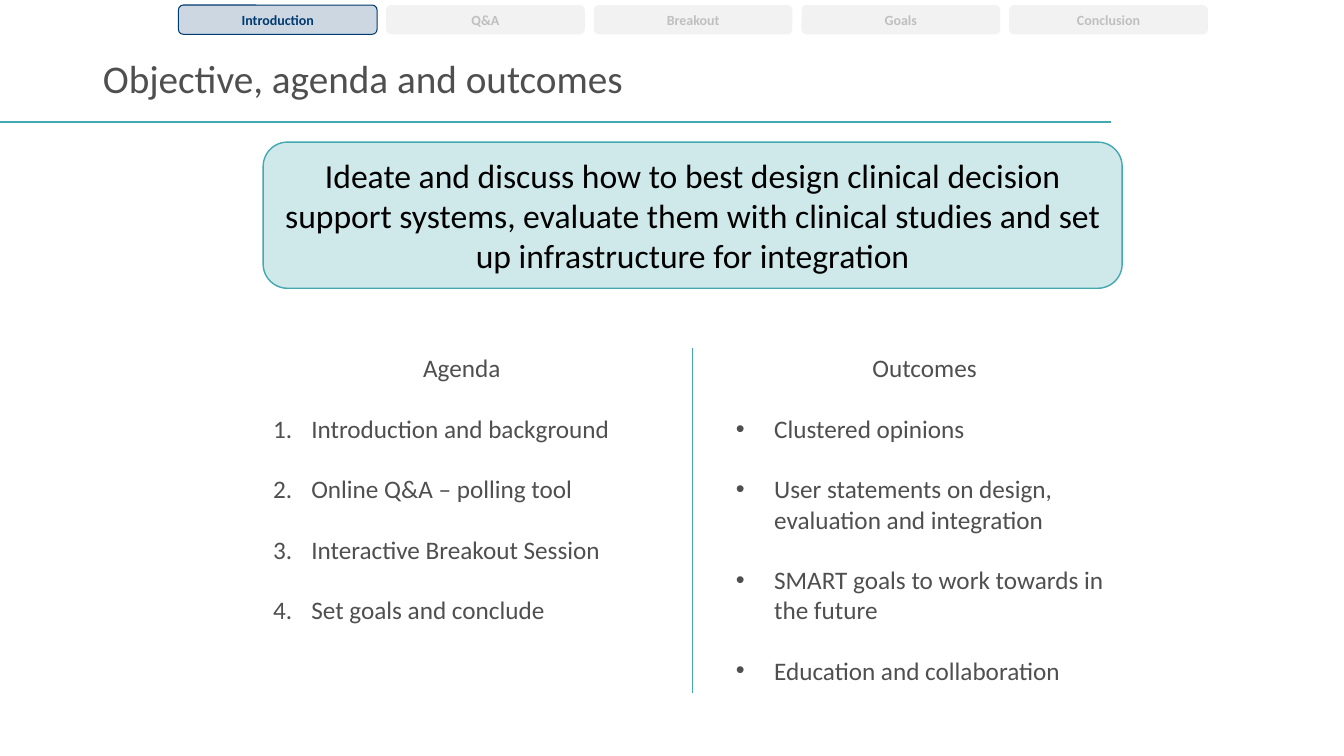
from dataclasses import dataclass

from lxml import etree
from pptx import Presentation
from pptx.dml.color import RGBColor
from pptx.enum import shapes, text
from pptx.oxml.ns import qn
from pptx.util import Inches, Pt

TITLE = "Objective, agenda and outcomes"
SECTIONS = ["Introduction", "Q&A", "Breakout", "Goals", "Conclusion"]
CURRENT = "Introduction"
OBJECTIVE = (
    "Ideate and discuss how to best design clinical decision support systems, "
    "evaluate them with clinical studies and set up infrastructure for integration"
)
COLUMNS = [
    {
        "heading": "Agenda",
        "box": (2.61, 3.45, 3.94, 2.83),
        "marker": ("buAutoNum", "type", "arabicPeriod"),
        "items": [
            "Introduction and background",
            "Online Q&A – polling tool",
            "Interactive Breakout Session",
            "Set goals and conclude",
        ],
    },
    {
        "heading": "Outcomes",
        "box": (7.2, 3.45, 3.94, 3.43),
        "marker": ("buChar", "char", "•"),
        "items": [
            "Clustered opinions",
            "User statements on design, evaluation and integration",
            "SMART goals to work towards in the future",
            "Education and collaboration",
        ],
    },
]
RULES = [((0, 1.21), (11.02, 1.21), 1.5), ((6.87, 6.88), (6.87, 3.45), 1)]


@dataclass(frozen=True)
class Theme:
    """Colours, font and type sizes of the slide."""

    font: str = "Calibri"
    body: str = "504F4F"
    black: str = "000000"
    teal: str = "43A8B0"
    navy: str = "003A70"
    idle_fill: str = "F2F2F2"
    idle_text: str = "BFBFBF"
    title_size: int = 28
    objective_size: int = 24
    list_size: int = 18
    tab_size: int = 10


THEME = Theme()
TAB_LEFT, TAB_TOP, TAB_WIDTH, TAB_HEIGHT, TAB_STEP = 1.77, 0.05, 1.97, 0.29, 2.06
ITEM_INDENT, ITEM_GAP = 0.38, 21.6


def inches(values):
    """Convert a sequence of numbers to lengths."""
    return [Inches(value) for value in values]


def style(paragraph, size, color, bold=False, align=text.PP_ALIGN.LEFT):
    """Set the font and alignment of a paragraph."""
    paragraph.alignment = align
    paragraph.font.name = THEME.font
    paragraph.font.size = Pt(size)
    paragraph.font.bold = bold
    paragraph.font.color.rgb = RGBColor.from_string(color)


def add_rounded(slide, box, words, size, color, fill, alpha=100, line=None, weight=1, bold=False):
    """Add a rounded box with centred text."""
    rounded = slide.shapes.add_shape(shapes.MSO_SHAPE.ROUNDED_RECTANGLE, *inches(box))
    rounded.shadow.inherit = False
    rounded.fill.solid()
    rounded.fill.fore_color.rgb = RGBColor.from_string(fill)
    if alpha < 100:
        tint = rounded.fill._xPr.find(".//" + qn("a:srgbClr"))
        etree.SubElement(tint, qn("a:alpha"), val=str(alpha * 1000))
    if line:
        rounded.line.color.rgb = RGBColor.from_string(line)
        rounded.line.width = Pt(weight)
    else:
        rounded.line.fill.background()
    frame = rounded.text_frame
    frame.word_wrap = True
    frame.vertical_anchor = text.MSO_ANCHOR.MIDDLE
    frame.text = words
    style(frame.paragraphs[0], size, color, bold, text.PP_ALIGN.CENTER)


def add_rule(slide, start, end, weight):
    """Add a straight teal line."""
    rule = slide.shapes.add_connector(
        shapes.MSO_CONNECTOR.STRAIGHT, *inches(start + end)
    )
    rule.line.color.rgb = RGBColor.from_string(THEME.teal)
    rule.line.width = Pt(weight)
    etree.SubElement(rule._element.spPr, qn("a:effectLst"))


def add_column(slide, heading, box, marker, items):
    """Add a centred heading above a marked list."""
    frame = slide.shapes.add_textbox(*inches(box)).text_frame
    frame.word_wrap = True
    frame.text = heading
    style(frame.paragraphs[0], THEME.list_size, THEME.body, align=text.PP_ALIGN.CENTER)
    tag, attribute, value = marker
    for item in items:
        paragraph = frame.add_paragraph()
        paragraph.text = item
        paragraph.space_before = Pt(ITEM_GAP)
        properties = paragraph._p.get_or_add_pPr()
        properties.set("marL", str(Inches(ITEM_INDENT)))
        properties.set("indent", str(-Inches(ITEM_INDENT)))
        if tag == "buChar":
            etree.SubElement(properties, qn("a:buFont"), typeface="Arial")
        etree.SubElement(properties, qn("a:" + tag), {attribute: value})
        style(paragraph, THEME.list_size, THEME.body)


def main():
    """Build and save the slide."""
    deck = Presentation()
    deck.slide_width, deck.slide_height = inches((13.33, 7.5))
    slide = deck.slides.add_slide(deck.slide_layouts[5])

    title = slide.shapes.title
    title.left, title.top, title.width, title.height = inches((0.92, 0.4, 9.93, 0.8))
    title.text_frame.text = TITLE
    title.text_frame.auto_size = text.MSO_AUTO_SIZE.NONE
    title.text_frame.vertical_anchor = text.MSO_ANCHOR.MIDDLE
    title.text_frame.paragraphs[0].line_spacing = 0.9
    style(title.text_frame.paragraphs[0], THEME.title_size, THEME.body)

    for index, section in enumerate(SECTIONS):
        box = (TAB_LEFT + index * TAB_STEP, TAB_TOP, TAB_WIDTH, TAB_HEIGHT)
        if section == CURRENT:
            look = dict(color=THEME.navy, fill=THEME.navy, alpha=20, line=THEME.navy, weight=0.75)
        else:
            look = dict(color=THEME.idle_text, fill=THEME.idle_fill)
        add_rounded(slide, box, section, THEME.tab_size, bold=True, **look)

    add_rounded(
        slide, (2.61, 1.41, 8.52, 1.45), OBJECTIVE, THEME.objective_size,
        THEME.black, THEME.teal, alpha=25, line=THEME.teal,
    )
    for column in COLUMNS:
        add_column(slide, **column)
    for rule in RULES:
        add_rule(slide, *rule)
    deck.save("out.pptx")


if __name__ == "__main__":
    main()
